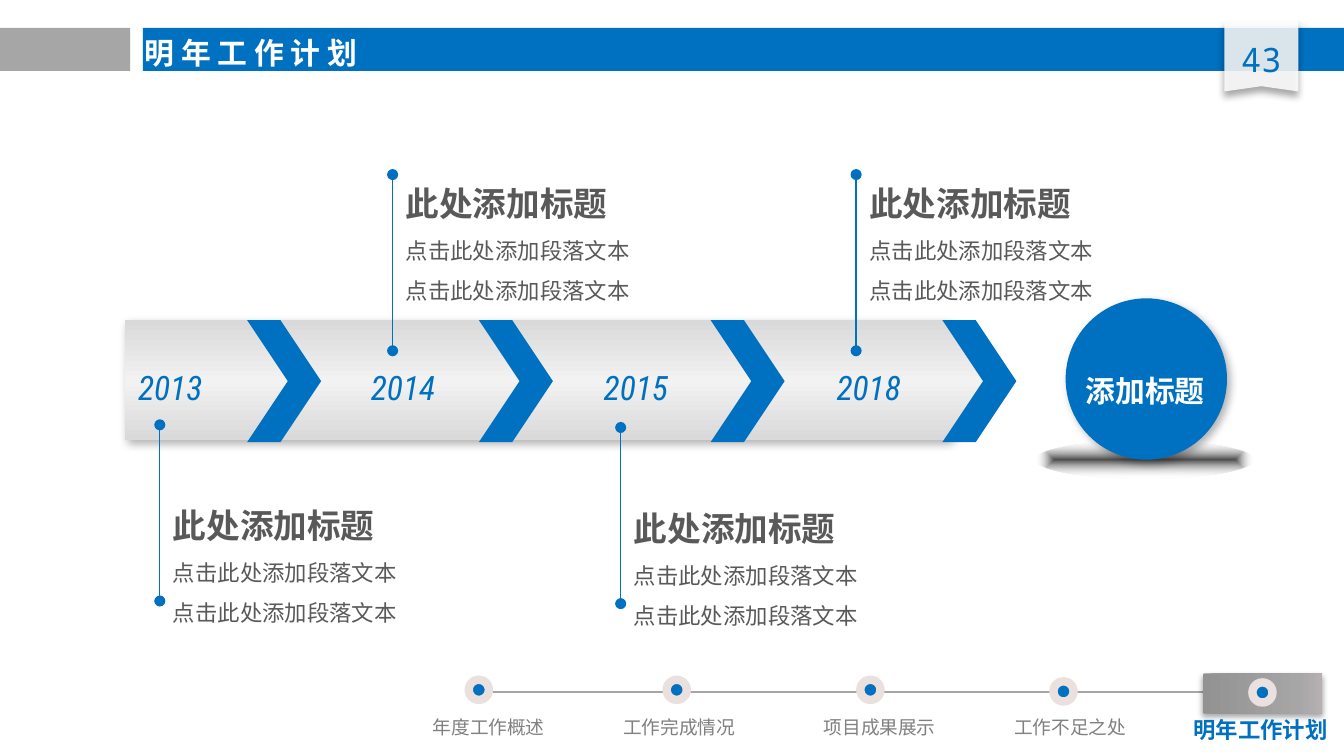
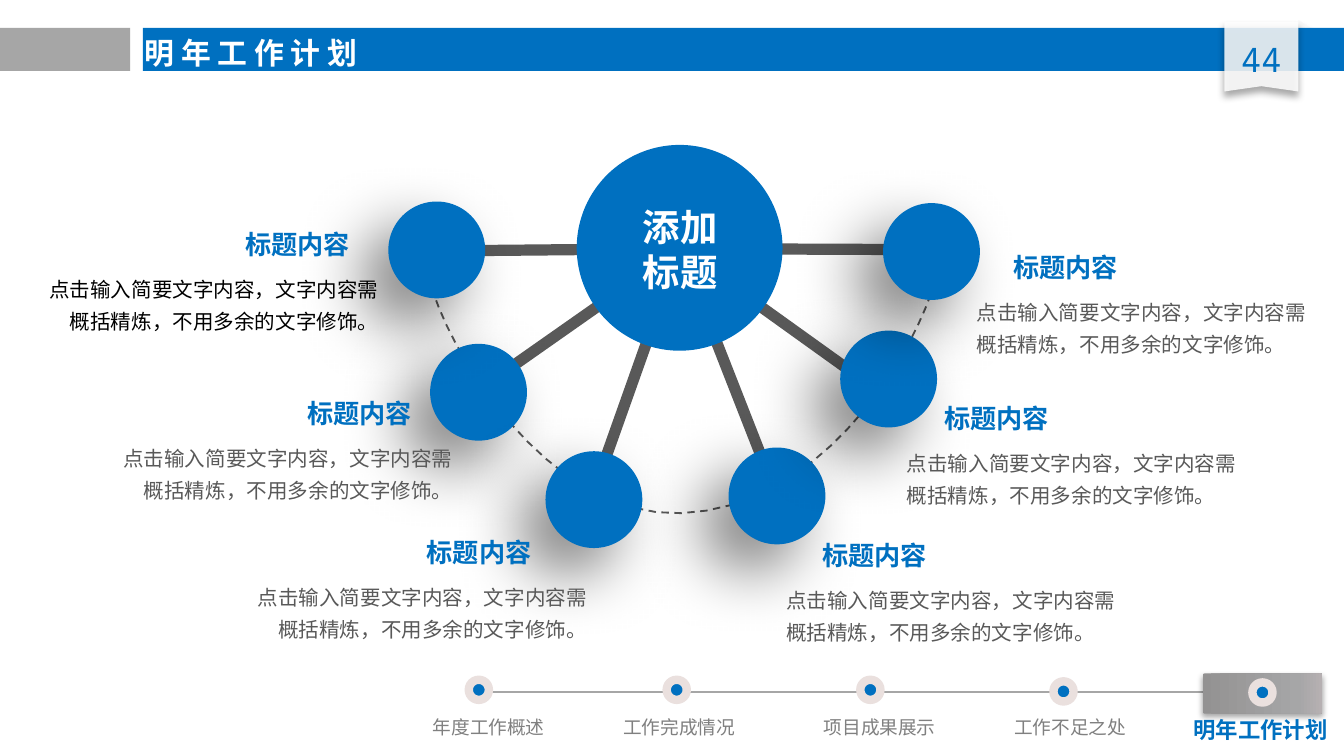
from lxml import etree
from pptx import Presentation, util as u
from pptx.dml.color import RGBColor
from pptx.enum import dml, shapes, text
from pptx.oxml import parse_xml
from pptx.oxml.ns import nsdecls, qn

BLUE, GREY, DARK, WHITE = "0070C0", "A6A6A6", "595959", "FFFFFF"
CJK, LATIN = "Noto Sans CJK SC", "Calibri"
LEFT, CENTER, RIGHT = text.PP_ALIGN.LEFT, text.PP_ALIGN.CENTER, text.PP_ALIGN.RIGHT
KIND = shapes.MSO_SHAPE
STRAIGHT = shapes.MSO_CONNECTOR.STRAIGHT
rgb = RGBColor.from_string


def add_text(slide, content, box, size=12, color=DARK, font=CJK, bold=False, italic=False,
             align=LEFT, spacing=None, wrap=True, inset=(0.25, 0.13), body_size=None):
    """Add a text box in cm; body_size sets plain lines below a heading line."""
    shape = slide.shapes.add_textbox(*map(u.Cm, box))
    frame = shape.text_frame
    frame.word_wrap = wrap
    frame.auto_size = text.MSO_AUTO_SIZE.SHAPE_TO_FIT_TEXT
    frame.margin_left = frame.margin_right = u.Cm(inset[0])
    frame.margin_top = frame.margin_bottom = u.Cm(inset[1])
    for index, line in enumerate(content.split("\n")):
        paragraph = frame.add_paragraph() if index else frame.paragraphs[0]
        paragraph.alignment = align
        if spacing:
            paragraph.line_spacing = spacing
        run = paragraph.add_run()
        run.text = line
        is_body = index > 0 and body_size is not None
        run.font.size = u.Pt(body_size if is_body else size)
        run.font.bold = bold and not is_body
        run.font.italic = italic
        run.font.name = font
        run.font.color.rgb = rgb(color)
        etree.SubElement(run.font._element, qn("a:ea"), typeface=CJK)
    return shape


def style(shape, fill=None, opacity=None, line=None, width=1, shadow=None, direction=None):
    """fill: hex or gradient stops (position, colour, opacity); shadow: opacity, blur, distance, angle."""
    if isinstance(fill, str):
        shape.fill.solid()
        shape.fill.fore_color.rgb = rgb(fill)
        if opacity:
            color = shape._element.spPr.find(".//" + qn("a:srgbClr"))
            etree.SubElement(color, qn("a:alpha"), val=str(opacity * 1000))
    else:
        shape.fill.background()
    if line:
        shape.line.color.rgb = rgb(line)
        shape.line.width = u.Pt(width)
    else:
        shape.line.fill.background()
    if isinstance(fill, list):
        stops = "".join(
            f'<a:gs pos="{position * 1000}"><a:srgbClr val="{color}">'
            f'<a:alpha val="{alpha * 1000}"/></a:srgbClr></a:gs>' for position, color, alpha in fill)
        if direction is None:
            way = '<a:path path="shape"><a:fillToRect l="50000" t="50000" r="50000" b="50000"/></a:path>'
        else:
            way = f'<a:lin ang="{direction * 60000}" scaled="0"/>'
        gradient = parse_xml(f'<a:gradFill {nsdecls("a")} rotWithShape="1"><a:gsLst>{stops}</a:gsLst>{way}</a:gradFill>')
        properties = shape._element.spPr
        properties.replace(properties.find(qn("a:noFill")), gradient)
    shape.shadow.inherit = False
    if shadow:
        alpha, blur, distance, angle = shadow
        shape._element.spPr.find(qn("a:effectLst")).append(parse_xml(
            f'<a:outerShdw {nsdecls("a")} blurRad="{u.Pt(blur)}" dist="{u.Pt(distance)}" '
            f'dir="{angle * 60000}" algn="ctr" rotWithShape="0"><a:srgbClr val="000000">'
            f'<a:alpha val="{alpha * 1000}"/></a:srgbClr></a:outerShdw>'))


presentation = Presentation()
presentation.slide_width, presentation.slide_height = u.Cm(25.4), u.Cm(14.29)

# Shared: title band, page ribbon and section navigation
ribbon_shadow = (40, 4, 3, 90)
ribbon_points = [(23.14, 1.73), (23.14, 0.41), (24.54, 0.41), (24.54, 1.73), (23.84, 1.63)]
sections = [("年度工作概述", 8.86, 12.85, 7.98), ("工作完成情况", 12.6, 12.85, 11.58),
            ("项目成果展示", 16.26, 12.85, 15.37), ("工作不足之处", 19.91, 12.88, 18.97),
            ("明年工作计划", 23.67, 12.9, 22.35)]
small_inset = (0.18, 0.1)

for page_number in (43, 44):
    slide = presentation.slides.add_slide(presentation.slide_layouts[6])
    track = slide.shapes.add_connector(STRAIGHT, *map(u.Cm, (9.17, 13.08, 23.72, 13.08)))
    track.line.color.rgb = rgb(GREY)
    track.line.width = u.Pt(1)
    etree.SubElement(track._element.spPr, qn("a:effectLst"))

    fold = slide.shapes.add_shape(KIND.RIGHT_TRIANGLE, *map(u.Cm, (24.54, 0.38, 0.23, 0.15)))
    style(fold, "F8F8F8", opacity=85, shadow=ribbon_shadow)
    for left, width, color in ((0, 2.46, GREY), (2.7, 22.7, BLUE)):
        band = slide.shapes.add_shape(KIND.RECTANGLE, *map(u.Cm, (left, 0.53, width, 0.81)))
        style(band, color)
    outline = [(u.Cm(x), u.Cm(y)) for x, y in ribbon_points]
    builder = slide.shapes.build_freeform(*outline[0])
    builder.add_line_segments(outline[1:])
    style(builder.convert_to_shape(), WHITE, opacity=85, shadow=ribbon_shadow)
    add_text(slide, str(page_number), (23.14, 0.64, 1.4, 0.97), size=18, color=BLUE,
             font="Noto Sans Mono", align=CENTER, inset=small_inset)

    for name, dot_left, dot_top, label_left in sections:
        current = name == sections[-1][0]
        if current:
            tab = slide.shapes.add_shape(KIND.ROUNDED_RECTANGLE, *map(u.Cm, (22.73, 12.73, 2.26, 0.76)))
            tab.adjustments[0] = 0.05
            style(tab, [(0, "939292", 100), (80, "A6A6A7", 100), (100, "B6B0B2", 100)],
                  direction=0, shadow=(35, 3.1, 1.8, 90))
        dot = slide.shapes.add_shape(KIND.OVAL, *map(u.Cm, (dot_left, dot_top, 0.38, 0.38)))
        style(dot, BLUE, line="EAE0DE", width=4.5)
        add_text(slide, name, (label_left, 13.44, 2.95 if current else 2.51, 0.71 if current else 0.61),
                 size=12 if current else 10, color=BLUE if current else "808080", bold=current,
                 align=CENTER, wrap=False, inset=small_inset)
    add_text(slide, "明 年 工 作 计 划", (2.49, 0.53, 5.79, 0.94), size=16, color=WHITE,
             font=LATIN, bold=True)

timeline_slide, hub_slide = presentation.slides

# Timeline: goal ball with its ground shadow
soft_shadow = (30, 4.5, 2.6, 53)
ground = timeline_slide.shapes.add_shape(KIND.OVAL, *map(u.Cm, (19.58, 8.33, 4.11, 0.71)))
style(ground, [(0, "000000", 70), (100, WHITE, 0)])
goal = timeline_slide.shapes.add_shape(KIND.OVAL, *map(u.Cm, (20.14, 5.64, 3.05, 3.05)))
style(goal, BLUE, shadow=soft_shadow)

# Timeline: bar, chevrons and years
bar = timeline_slide.shapes.add_shape(KIND.PENTAGON, *map(u.Cm, (2.36, 6.05, 16.43, 2.26)))
bar.adjustments[0] = 0.4
style(bar, [(0, "D9D9D9", 100), (51, "F2F2F2", 100), (100, "D9D9D9", 100)],
      direction=90, shadow=soft_shadow)
for index, year in enumerate(("2013", "2014", "2015", "2018")):
    chevron = timeline_slide.shapes.add_shape(
        KIND.CHEVRON, *map(u.Cm, (4.67 + 4.38 * index, 6.05, 1.4, 2.31)))
    chevron.adjustments[0] = 0.55
    style(chevron, BLUE)
    add_text(timeline_slide, year, (2.36 + 4.4 * index, 6.81, 1.75, 1.02), size=18, color=BLUE,
             font="Roboto Condensed", italic=True, wrap=False)

# Timeline: pins with their notes
for x, top, note_top, note_width in ((3.02, 8.03, 9.04, 6.73), (7.42, 3.3, 2.95, 6.35),
                                     (11.73, 8.08, 9.09, 5.87), (16.18, 3.3, 2.95, 6.05)):
    pin = timeline_slide.shapes.add_connector(STRAIGHT, *map(u.Cm, (x, top, x, top + 3.33)))
    pin.line.color.rgb = rgb(BLUE)
    pin.line.width = u.Pt(0.75)
    for end in ("a:headEnd", "a:tailEnd"):
        etree.SubElement(pin.line._get_or_add_ln(), qn(end), type="oval")
    etree.SubElement(pin._element.spPr, qn("a:effectLst"))
    add_text(timeline_slide, "此处添加标题\n点击此处添加段落文本\n点击此处添加段落文本",
             (x, note_top, note_width, 2.92), size=18, body_size=12, font=LATIN, bold=True, spacing=1.5)
add_text(timeline_slide, "添加标题", (20.27, 6.58, 2.82, 1.17), size=16, color=WHITE, font=LATIN,
         bold=True, spacing=1.5, wrap=False)

# Hub: dashed arc, sampled from Bézier curves
curves = [((8.2, 4.72), (8.92, 4.75), (16.92, 4.6), (17.73, 4.83)),
          ((17.73, 4.83), (17.88, 5.46), (16.08, 9.58), (12.88, 9.7)),
          ((12.88, 9.7), (9.68, 9.83), (7.49, 4.7), (8.2, 4.72))]
arc_points = []
for curve in curves:
    for step in range(20):
        t = step / 20
        weights = ((1 - t) ** 3, 3 * t * (1 - t) ** 2, 3 * t * t * (1 - t), t ** 3)
        arc_points.append(tuple(u.Cm(sum(w * point[axis] for w, point in zip(weights, curve)))
                                for axis in (0, 1)))
builder = hub_slide.shapes.build_freeform(*arc_points[0])
builder.add_line_segments(arc_points[1:])
arc = builder.convert_to_shape()
style(arc, line=DARK)
arc.line.dash_style = dml.MSO_LINE.DASH

# Hub: spokes and balls
for spoke_end in ((7.52, 4.75), (8.69, 7.62), (11.1, 9.63), (14.71, 9.45), (16.92, 7.62), (18.01, 4.72)):
    spoke = hub_slide.shapes.add_connector(STRAIGHT, *map(u.Cm, (*spoke_end, 12.85, 4.7)))
    spoke.line.color.rgb = rgb(DARK)
    spoke.line.width = u.Pt(6)
    etree.SubElement(spoke._element.spPr, qn("a:effectLst"))
for corner in ((8.13, 6.5), (10.31, 8.53), (13.77, 8.46), (15.88, 6.25), (16.69, 3.84), (7.34, 3.81)):
    ball = hub_slide.shapes.add_shape(KIND.OVAL, *map(u.Cm, (*corner, 1.83, 1.83)))
    style(ball, BLUE, shadow=(50, 35, 20, 135))

# Hub: headings and descriptions
for heading_left, top, body_left, align, color in (
        (4.37, 4.19, 0.3, RIGHT, "000000"), (5.54, 7.39, 1.7, RIGHT, DARK),
        (7.8, 10.01, 4.24, RIGHT, DARK), (15.29, 10.06, 14.61, LEFT, DARK),
        (17.6, 7.47, 16.89, LEFT, DARK), (18.9, 4.62, 18.21, LEFT, DARK)):
    add_text(hub_slide, "标题内容", (heading_left, top, 2.51, 0.86), size=14, color=BLUE, bold=True,
             align=CENTER if align == RIGHT else LEFT, wrap=False)
    add_text(hub_slide, "点击输入简要文字内容，文字内容需概括精炼，不用多余的文字修饰。",
             (body_left, top + 0.78, 7.11, 1.45), size=11, color=color, align=align, spacing=1.3)

# Hub: centre disc
ring = hub_slide.shapes.add_shape(KIND.DONUT, *map(u.Cm, (10.9, 2.74, 3.89, 3.89)))
ring.adjustments[0] = 0.05
disc = hub_slide.shapes.add_shape(KIND.OVAL, *map(u.Cm, (10.97, 2.82, 3.73, 3.73)))
hub_label = add_text(hub_slide, "添加\n标题", (11.89, 3.73, 1.93, 1.96), size=20, color=WHITE,
                     bold=True, align=CENTER, wrap=False)
for shape in (ring, disc, hub_label):
    style(shape, BLUE)

presentation.save("out.pptx")
